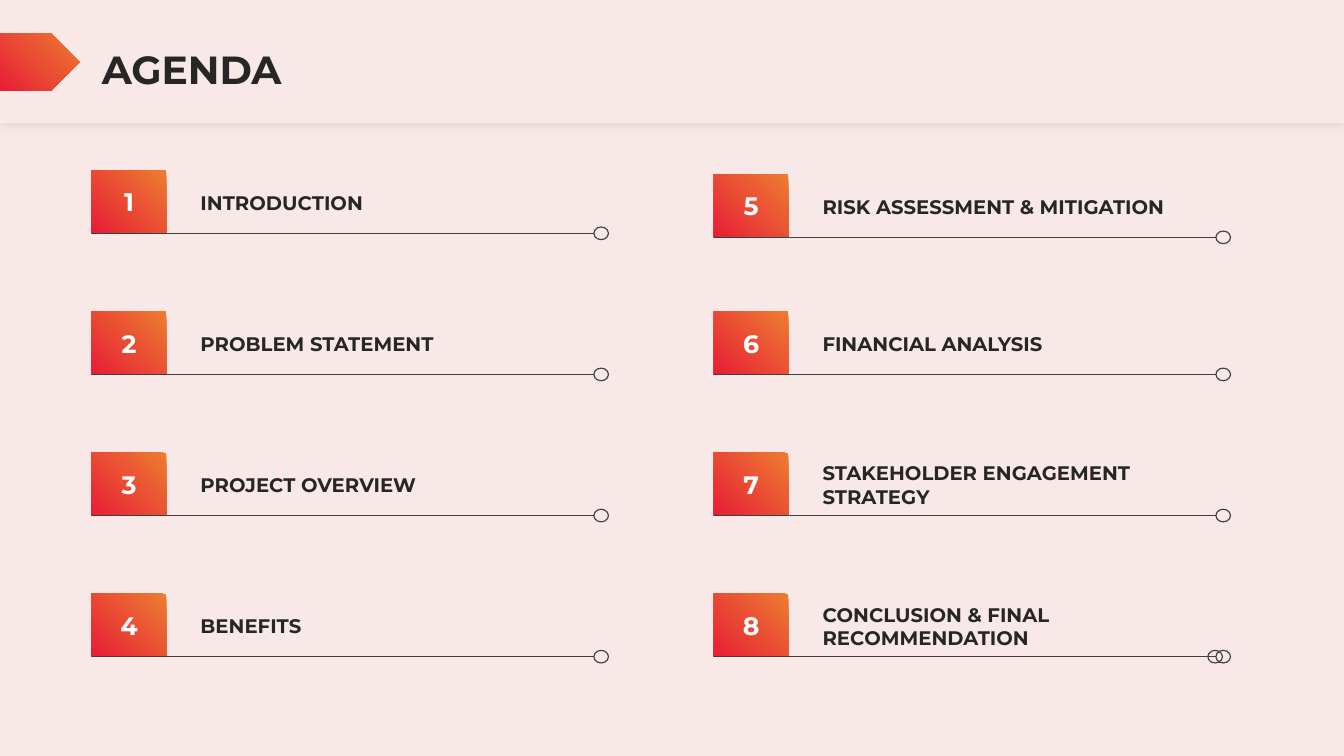
from lxml import etree
from pptx import Presentation
from pptx.dml.color import RGBColor as RGB
from pptx.enum.shapes import MSO_CONNECTOR as CONN, MSO_SHAPE as SHAPE
from pptx.enum.text import MSO_ANCHOR as ANCHOR, MSO_AUTO_SIZE as AUTO, PP_ALIGN as ALIGN
from pptx.oxml.ns import qn
from pptx.util import Inches, Pt

COLORS = {"paper": "F8E8E8", "ink": "262626", "line": "3F3F3F", "white": "FFFFFF",
          "orange": "ED7D31", "red": "E71D36", "shadow": "000000"}
FONT = "Montserrat"
SLIDE_W, SLIDE_H = 13.33, 7.5
HEADER_H = 1.22

# Agenda grid: two columns of four rows, filled column by column
AGENDA = ["INTRODUCTION", "PROBLEM STATEMENT", "PROJECT OVERVIEW", "BENEFITS",
          "RISK ASSESSMENT & MITIGATION", "FINANCIAL ANALYSIS",
          "STAKEHOLDER ENGAGEMENT STRATEGY", "CONCLUSION & FINAL RECOMMENDATION"]
ROWS = 4
GRID_X, GRID_Y = 0.91, 1.69
COL_STEP, ROW_STEP = 6.17, 1.4
TILE_W, TILE_H = 0.74, 0.625
RULE_W, LABEL_X = 4.98, 0.98
RING_W, RING_H = 0.145, 0.125
NUDGES = {5: 0.04}      # item 5 sits slightly lower
EXTRA_RINGS = {8: 0.08}  # item 8 has a second ring to the left


def rgb(name):
    return RGB.from_string(COLORS[name])


def inches(*lengths):
    return [Inches(v) for v in lengths]


def write(shape, text, size, color, inset=0.1, align=ALIGN.LEFT, anchor=ANCHOR.MIDDLE):
    tf = shape.text_frame
    frame = {"word_wrap": True, "auto_size": AUTO.NONE, "vertical_anchor": anchor,
             "margin_left": Inches(0.1), "margin_right": Inches(0.1),
             "margin_top": Inches(inset), "margin_bottom": Inches(inset)}
    for key, value in frame.items():
        setattr(tf, key, value)
    p = tf.paragraphs[0]
    p.alignment = align
    r = p.add_run()
    r.text = text
    for key, value in {"name": FONT, "size": Pt(size), "bold": True}.items():
        setattr(r.font, key, value)
    r.font.color.rgb = rgb(color)


def add_block(s, kind, box):
    sp = s.shapes.add_shape(kind, *inches(*box))
    sp.shadow.inherit = False
    sp.line.fill.background()
    return sp


def fill_gradient(sp):
    sp.fill.gradient()
    sp.fill.gradient_angle = 225
    for stop, name in zip(sp.fill.gradient_stops, ("orange", "red")):
        stop.color.rgb = rgb(name)


def add_ring(s, left, middle):
    ring = add_block(s, SHAPE.OVAL, (left, middle - RING_H / 2, RING_W, RING_H))
    ring.fill.background()
    ring.line.color.rgb = rgb("line")
    ring.line.width = Pt(0.81)


def add_header(s, left, top, width, height):
    # Band with a soft shadow, placed behind the title
    band = add_block(s, SHAPE.RECTANGLE, (left, top, width, height))
    band.fill.solid()
    band.fill.fore_color.rgb = rgb("paper")
    effects = band._element.spPr.find(qn("a:effectLst"))
    shadow = etree.SubElement(effects, qn("a:outerShdw"), blurRad=str(Pt(10)), dist="0",
                              dir="0", algn="ctr", rotWithShape="0")
    color = etree.SubElement(shadow, qn("a:srgbClr"), val=COLORS["shadow"])
    etree.SubElement(color, qn("a:alpha"), val="10000")
    s.shapes._spTree.insert(2, band._element)

    # Title
    title = s.shapes.title
    place = inches(left + 0.91, top + 0.4, width - 1.16, 0.57)
    for key, value in zip(("left", "top", "width", "height"), place):
        setattr(title, key, value)
    write(title, "AGENDA", 28, "ink", inset=0.05, anchor=ANCHOR.TOP)

    # Pointed tab at the left edge
    fill_gradient(add_block(s, SHAPE.PENTAGON, (left, top + 0.33, 0.79, 0.57)))


def add_item(s, number, label, left, top):
    # Number tile
    tile = add_block(s, SHAPE.RECTANGLE, (left, top, TILE_W, TILE_H))
    fill_gradient(tile)
    write(tile, str(number), 18, "white", align=ALIGN.CENTER)

    # Rule ending in a ring
    base = top + TILE_H
    rule = s.shapes.add_connector(CONN.STRAIGHT, *inches(left, base, left + RULE_W, base))
    rule.line.color.rgb = rgb("line")
    rule.line.width = Pt(0.81)
    etree.SubElement(rule._element.spPr, qn("a:effectLst"))
    add_ring(s, left + RULE_W, base)
    if number in EXTRA_RINGS:
        add_ring(s, left + RULE_W - EXTRA_RINGS[number], base)

    # Label
    box = s.shapes.add_textbox(*inches(left + LABEL_X, top + 0.1, 4, 0.44))
    write(box, label, 14, "ink")


def add_agenda(s, left, top):
    for i, label in enumerate(AGENDA):
        col, row = divmod(i, ROWS)
        number = i + 1
        add_item(s, number, label, left + col * COL_STEP,
                 top + row * ROW_STEP + NUDGES.get(number, 0))


def main():
    prs = Presentation()
    prs.slide_width, prs.slide_height = inches(SLIDE_W, SLIDE_H)
    s = prs.slides.add_slide(prs.slide_layouts[5])
    s.background.fill.solid()
    s.background.fill.fore_color.rgb = rgb("paper")
    add_header(s, 0, 0, SLIDE_W, HEADER_H)
    add_agenda(s, GRID_X, GRID_Y)
    prs.save("out.pptx")


if __name__ == "__main__":
    main()
